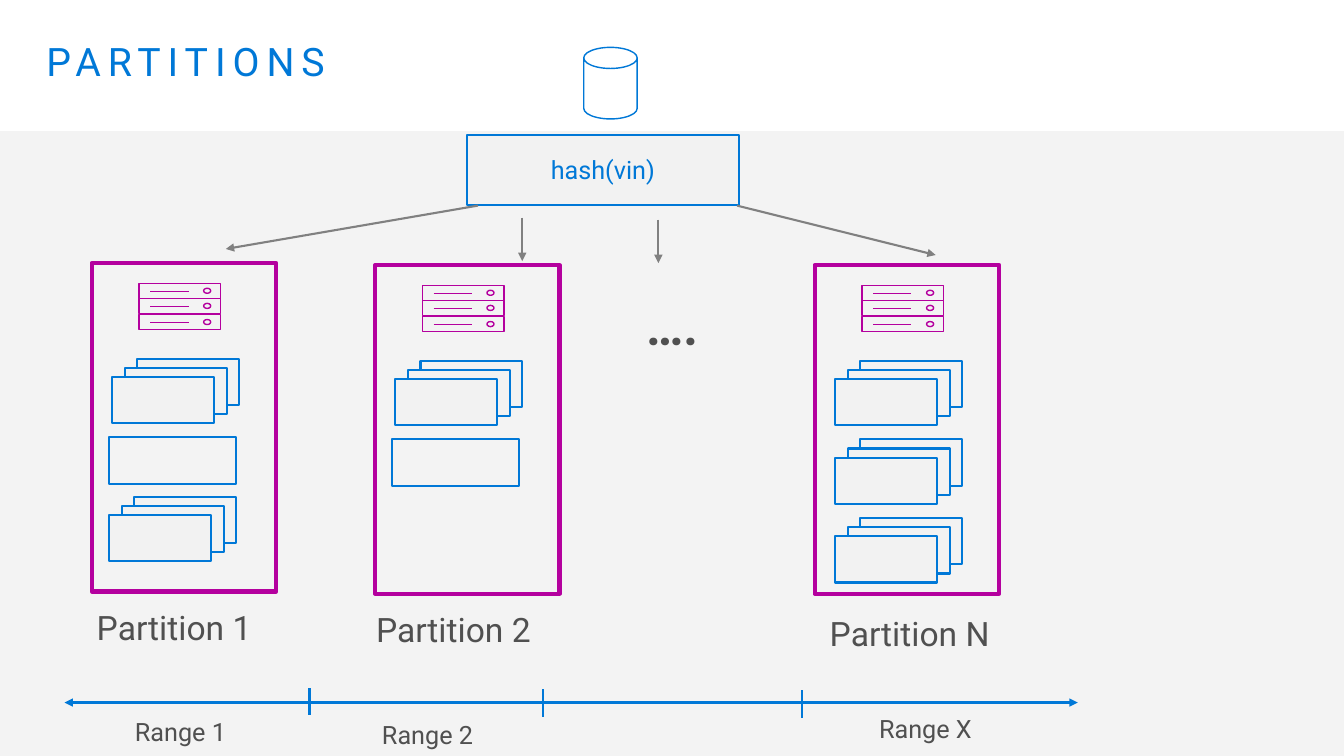
from dataclasses import dataclass

from lxml import etree
from pptx import Presentation
from pptx.dml.color import RGBColor
from pptx.enum.shapes import MSO_CONNECTOR, MSO_SHAPE
from pptx.enum.text import MSO_ANCHOR, MSO_AUTO_SIZE, PP_ALIGN
from pptx.oxml.ns import qn
from pptx.util import Inches, Pt

RECT, OVAL, CAN = MSO_SHAPE.RECTANGLE, MSO_SHAPE.OVAL, MSO_SHAPE.CAN
STRAIGHT = MSO_CONNECTOR.STRAIGHT
TOP, MIDDLE = MSO_ANCHOR.TOP, MSO_ANCHOR.MIDDLE
LEFT, CENTER = PP_ALIGN.LEFT, PP_ALIGN.CENTER
FIT_SHAPE = MSO_AUTO_SIZE.SHAPE_TO_FIT_TEXT

FONT = "Roboto"
COLORS = {
    "blue": "0078D7",
    "magenta": "B4009E",
    "panel": "F2F2F2",
    "arrow": "808080",
    "text": "505050",
}
CARD_STEPS = ((0, 0), (-0.12, 0.09), (-0.25, 0.18))
SERVER_ROWS = (0.2, 0.35, 0.51)


@dataclass
class Partition:
    name: str
    left: float
    top: float
    label_left: float
    label_top: float
    stacks: tuple  # offsets of the rearmost card of each stack
    has_single: bool


@dataclass
class Label:
    text: str
    left: float
    top: float
    width: float


@dataclass
class Line:
    x1: float
    y1: float
    x2: float
    y2: float


PARTITIONS = [
    Partition("Partition 1", 0.91, 2.61, 0.76, 5.91, ((0.45, 0.95), (0.42, 2.32)), True),
    Partition("Partition 2", 3.72, 2.63, 3.53, 5.93, ((0.45, 0.95),), True),
    Partition("Partition N", 8.08, 2.63, 8.03, 5.97,
              ((0.45, 0.95), (0.45, 1.73), (0.45, 2.51)), False),
]
HASH_ARROWS = [
    Line(4.74, 2.04, 2.24, 2.47),
    Line(5.18, 2.16, 5.18, 2.59),
    Line(6.53, 2.18, 6.53, 2.61),
    Line(7.31, 2.04, 9.28, 2.53),
]
RANGE_AXIS = Line(0.64, 6.97, 10.69, 6.97)
RANGE_TICKS = [
    Line(3.07, 6.83, 3.07, 7.09),
    Line(5.39, 6.84, 5.39, 7.11),
    Line(7.95, 6.85, 7.95, 7.12),
]
RANGE_LABELS = [
    Label("Range 1", 1.24, 7.06, 1.48),
    Label("Range 2", 3.69, 7.09, 1.48),
    Label("Range X", 8.62, 7.03, 1.22),
]


def rgb(name: str) -> RGBColor:
    return RGBColor.from_string(COLORS[name])


def add_box(shapes, kind, x: float, y: float, w: float, h: float,
            line: str = "", weight: float = 1.5, fill: str = ""):
    """Add a preset shape; an empty colour name means no line or no fill."""
    sp = shapes.add_shape(kind, Inches(x), Inches(y), Inches(w), Inches(h))
    sp.shadow.inherit = False
    if fill:
        sp.fill.solid()
        sp.fill.fore_color.rgb = rgb(fill)
    else:
        sp.fill.background()
    if line:
        sp.line.color.rgb = rgb(line)
        sp.line.width = Pt(weight)
    else:
        sp.line.fill.background()
    return sp


def add_line(shapes, line: Line, color: str, weight: float = 1.5, ends: tuple = ()) -> None:
    """Draw a line; ends may hold "headEnd" and "tailEnd", in that order."""
    cxn = shapes.add_connector(STRAIGHT, Inches(line.x1), Inches(line.y1),
                               Inches(line.x2), Inches(line.y2))
    cxn.line.color.rgb = rgb(color)
    cxn.line.width = Pt(weight)
    for end in ends:
        etree.SubElement(cxn.line._get_or_add_ln(), qn(f"a:{end}"), type="triangle")
    etree.SubElement(cxn._element.spPr, qn("a:effectLst"))


def write(tf, text: str, size: float, color: str, align=LEFT, bold: bool = False):
    p = tf.paragraphs[0]
    p.alignment = align
    r = p.add_run()
    r.text = text
    r.font.name = FONT
    r.font.size = Pt(size)
    r.font.bold = bold
    r.font.color.rgb = rgb(color)
    return p


def set_margins(tf, side: float, end: float) -> None:
    tf.margin_left = tf.margin_right = Inches(side)
    tf.margin_top = tf.margin_bottom = Inches(end)


def add_text(shapes, label: Label, height: float, size: float,
             padded: bool = False, bold: bool = False) -> None:
    tf = shapes.add_textbox(Inches(label.left), Inches(label.top),
                            Inches(label.width), Inches(height)).text_frame
    tf.word_wrap = True
    tf.auto_size = FIT_SHAPE
    p = write(tf, label.text, size, "text", bold=bold)
    if padded:
        set_margins(tf, 0.2, 0.16)
        p.line_spacing = 0.9
        p.space_after = Pt(6)


def add_server(shapes, x: float, y: float) -> None:
    for row in SERVER_ROWS:
        top = y + row
        add_box(shapes, RECT, x + 0.47, top, 0.81, 0.15, "magenta", 1)
        add_box(shapes, OVAL, x + 1.11, top + 0.05, 0.07, 0.05, "magenta", 1)
        slot = Line(x + 0.58, top + 0.08, x + 0.96, top + 0.08)
        add_line(shapes, slot, "magenta", 1)


def add_partition(shapes, part: Partition) -> None:
    group = shapes.add_group_shape().shapes
    x, y = part.left, part.top
    add_box(group, RECT, x, y, 1.83, 3.26, "magenta", 3)
    add_server(group, x, y)
    for stack_x, stack_y in part.stacks:
        for dx, dy in CARD_STEPS:
            add_box(group, RECT, x + stack_x + dx, y + stack_y + dy, 1.01, 0.46,
                    "blue", fill="panel")
    if part.has_single:
        add_box(group, RECT, x + 0.17, y + 1.73, 1.26, 0.46, "blue")
    add_text(shapes, Label(part.name, part.label_left, part.label_top, 2.53), 0.69, 24, padded=True)


def add_title(s) -> None:
    title = s.shapes.title
    title.left, title.top = Inches(0.3), Inches(0.32)
    title.width, title.height = Inches(12.75), Inches(0.98)
    tf = title.text_frame
    tf.vertical_anchor = TOP
    set_margins(tf, 0.16, 0.1)
    p = write(tf, "PARTITIONS", 28, "blue")
    p.line_spacing = 0.9
    p.runs[0].font._element.set("spc", "500")


def add_hash(shapes) -> None:
    can = add_box(shapes, CAN, 5.79, 0.47, 0.53, 0.71, "blue", 1)
    can.adjustments[0] = 0.395
    tf = add_box(shapes, RECT, 4.63, 1.34, 2.7, 0.69, "blue", fill="panel").text_frame
    tf.vertical_anchor = MIDDLE
    write(tf, "hash(vin)", 18, "blue", CENTER)
    for arrow in HASH_ARROWS:
        add_line(shapes, arrow, "arrow", ends=("tailEnd",))


def main() -> None:
    prs = Presentation()
    prs.slide_width, prs.slide_height = Inches(13.33), Inches(7.5)
    s = prs.slides.add_slide(prs.slide_layouts[5])
    panel = add_box(s.shapes, RECT, 0, 1.3, 13.33, 6.2, fill="panel")
    color = panel._element.spPr.find(f"{qn('a:solidFill')}/{qn('a:srgbClr')}")
    etree.SubElement(color, qn("a:alpha"), val="89000")
    add_title(s)
    add_hash(s.shapes)
    for part in PARTITIONS:
        add_partition(s.shapes, part)
    add_text(s.shapes, Label("….", 6.21, 2.84, 1.57), 0.88, 36, padded=True, bold=True)
    add_line(s.shapes, RANGE_AXIS, "blue", ends=("headEnd", "tailEnd"))
    for tick in RANGE_TICKS:
        add_line(s.shapes, tick, "blue")
    for label in RANGE_LABELS:
        add_text(s.shapes, label, 0.41, 18)
    prs.save("out.pptx")


if __name__ == "__main__":
    main()
